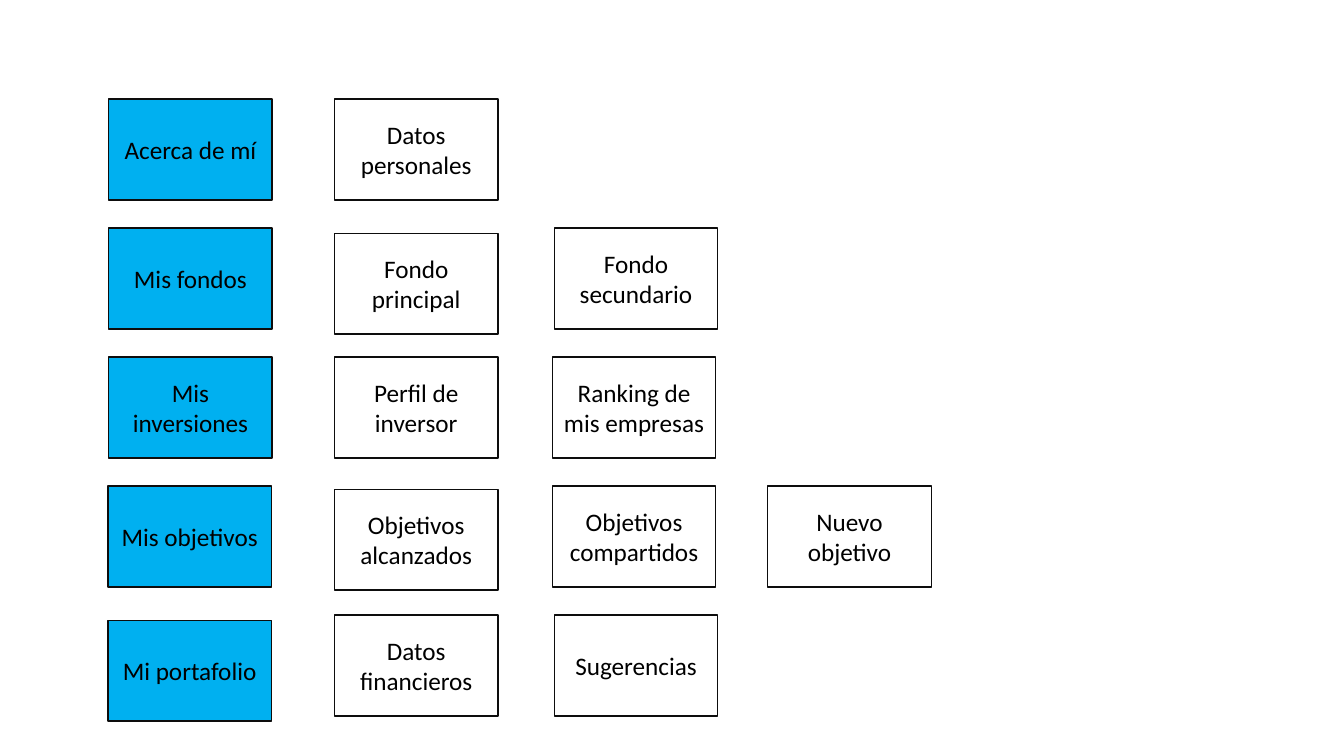
import pptx
import pptx.util
import pptx.dml.color
import pptx.enum.shapes
import pptx.enum.text
from pptx.util import Cm

# Each section is followed by its pages
SECTIONS = [
    ["Acerca de mí", "Datos personales"],
    ["Mis fondos", "Fondo principal", "Fondo secundario"],
    ["Mis inversiones", "Perfil de inversor", "Ranking de mis empresas"],
    ["Mis objetivos", "Objetivos alcanzados", "Objetivos compartidos", "Nuevo objetivo"],
    ["Mi portafolio", "Datos financieros", "Sugerencias"],
]

# Small departures from the grid, in cm: (right, down)
NUDGES = {
    "Fondo principal": (0, 0.13),
    "Fondo secundario": (0.05, 0),
    "Mis objetivos": (-0.02, 0),
    "Objetivos alcanzados": (0, 0.08),
    "Mi portafolio": (-0.02, 0.13),
    "Sugerencias": (0.05, 0),
}

COLUMN_LEFTS = [2.74, 8.43, 13.92, 19.35]
FIRST_TOP, ROW_STEP = 2.5, 3.25
BOX_WIDTH, BOX_HEIGHT = 4.12, 2.54

THEME = {
    "font": "Calibri",
    "size": pptx.util.Pt(18),
    "outline": pptx.util.Pt(1),
    "section": pptx.dml.color.RGBColor(0x00, 0xB0, 0xF0),
    "line": pptx.dml.color.RGBColor(0x0D, 0x0D, 0x0D),
    "text": pptx.dml.color.RGBColor(0, 0, 0),
}


def add_box(slide, label, left, top, is_section):
    """Add one outlined box, filled when it names a section."""
    box = slide.shapes.add_shape(
        pptx.enum.shapes.MSO_SHAPE.RECTANGLE,
        Cm(left), Cm(top), Cm(BOX_WIDTH), Cm(BOX_HEIGHT))
    box.shadow.inherit = False
    if is_section:
        box.fill.solid()
        box.fill.fore_color.rgb = THEME["section"]
    else:
        box.fill.background()
    box.line.color.rgb = THEME["line"]
    box.line.width = THEME["outline"]

    box.text_frame.text = label
    box.text_frame.word_wrap = True
    box.text_frame.vertical_anchor = pptx.enum.text.MSO_ANCHOR.MIDDLE
    paragraph = box.text_frame.paragraphs[0]
    paragraph.alignment = pptx.enum.text.PP_ALIGN.CENTER
    font = paragraph.runs[0].font
    font.name = THEME["font"]
    font.size = THEME["size"]
    font.color.rgb = THEME["text"]


def add_site_map(slide):
    """Lay the sections out as rows, their pages to the right."""
    for row, labels in enumerate(SECTIONS):
        for column, label in enumerate(labels):
            right, down = NUDGES.get(label, (0, 0))
            add_box(slide, label, COLUMN_LEFTS[column] + right,
                    FIRST_TOP + row * ROW_STEP + down, column == 0)


deck = pptx.Presentation()
deck.slide_width, deck.slide_height = Cm(33.87), Cm(19.05)
add_site_map(deck.slides.add_slide(deck.slide_layouts[6]))
deck.save("out.pptx")
